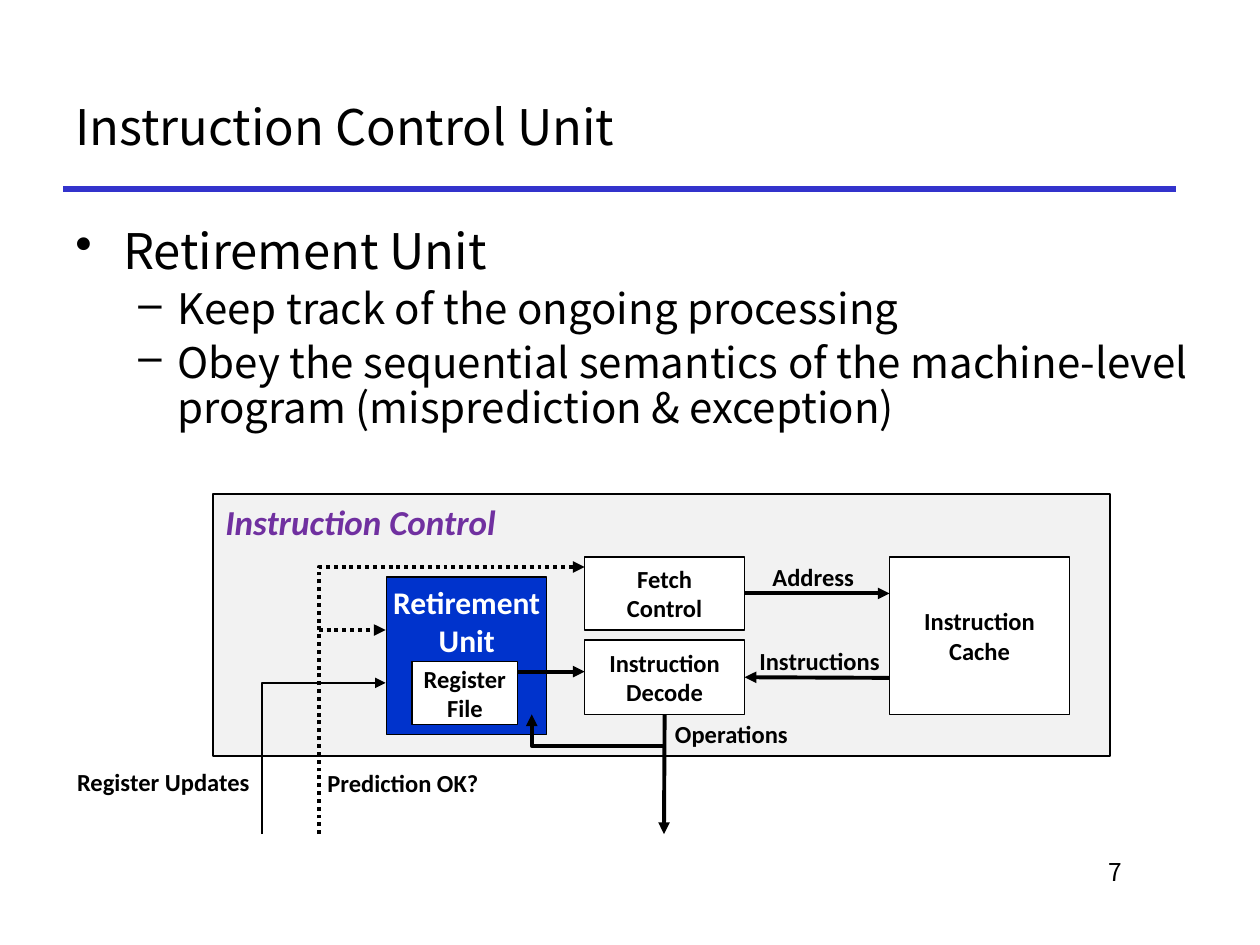
from lxml import etree
from pptx import Presentation
from pptx.dml.color import RGBColor
from pptx.enum.dml import MSO_LINE
from pptx.enum.shapes import MSO_CONNECTOR, MSO_SHAPE
from pptx.enum.text import MSO_ANCHOR, MSO_AUTO_SIZE, PP_ALIGN
from pptx.oxml.ns import qn
from pptx.util import Inches, Pt

# Content
COLORS = {"black": "000000", "white": "FFFFFF", "rule": "3333CC",
          "panel": "F2F2F2", "heading": "7030A0", "retire": "0033CC"}
SANS, LABEL = "Noto Sans CJK KR", "Calibri"
LEFT, CENTER, RIGHT = PP_ALIGN.LEFT, PP_ALIGN.CENTER, PP_ALIGN.RIGHT
TOP, MIDDLE = MSO_ANCHOR.TOP, MSO_ANCHOR.MIDDLE

TITLE = "Instruction Control Unit"
BULLETS = [  # text, level
    ("Retirement Unit", 0),
    ("Keep track of the ongoing processing", 1),
    ("Obey the sequential semantics of the machine-level program "
     "(misprediction & exception)", 1),
]
LEVELS = [  # bullet, size, left margin, hanging indent
    ("•", 28, 0.38, -0.38),
    ("–", 24, 0.81, -0.31),
]
BOXES = {  # lines, (left, top, width, height), fill, anchor
    "panel": (["Instruction Control"], (1.69, 3.92, 7.12, 2.08), "panel", TOP),
    "cache": (["Instruction", "Cache"], (7.06, 4.42, 1.43, 1.25), "white", MIDDLE),
    "fetch": (["Fetch", "Control"], (4.64, 4.42, 1.27, 0.58), "white", MIDDLE),
    "decode": (["Instruction", "Decode"], (4.64, 5.08, 1.27, 0.59), "white", MIDDLE),
    "retire": (["Retirement", "Unit"], (3.07, 4.58, 1.27, 1.25), "retire", TOP),
    "registers": (["Register", "File"], (3.27, 5.25, 0.84, 0.5), "white", MIDDLE),
}
BOX_TEXT = {  # only where it differs from the plain label
    "panel": {"size": Pt(20), "italic": True, "color": "heading"},
    "retire": {"size": Pt(18), "color": "white"},
}
ARROWS = [  # start, end, dotted, (box, site) joined at start, at end
    ((5.91, 4.71), (7.06, 4.71), False, ("fetch", 3), None),
    ((7.06, 5.38), (5.91, 5.38), False, None, ("decode", 3)),
    ((5.27, 5.67), (5.27, 6.62), False, ("decode", 2), None),
    ((2.53, 5), (3.06, 5), True, None, None),
    ((4.11, 5.33), (4.64, 5.33), False, None, None),
]
BENT_ARROWS = [  # points, the arrowhead being at the last; width, dotted
    ([(2.53, 6.62), (2.53, 4.5), (4.64, 4.5)], 2.25, True),
    ([(2.08, 6.62), (2.08, 5.42), (3.06, 5.42)], 1.5, False),
    ([(5.27, 5.92), (4.22, 5.92), (4.22, 5.67)], 2.25, False),
]
LABELS = [  # text, left, top, width, alignment
    ("Address", 6.03, 4.41, 0.85, CENTER),
    ("Instructions", 5.92, 5.08, 1.17, CENTER),
    ("Operations", 5.25, 5.66, 1.11, CENTER),
    ("Prediction OK?", 2.5, 6.05, 1.41, LEFT),
    ("Register Updates", 0.5, 6.04, 1.58, RIGHT),
]


def rgb(name):
    return RGBColor.from_string(COLORS[name])


def write(frame, lines, align=LEFT, anchor=TOP, wrap=False, color="black", **font):
    frame.word_wrap = wrap
    frame.vertical_anchor = anchor
    formats = {"name": LABEL, "size": Pt(14), "bold": True, **font}
    for index, line in enumerate(lines):
        para = frame.add_paragraph() if index else frame.paragraphs[0]
        para.alignment = align
        span = para.add_run()
        span.text = line
        for key, value in formats.items():
            setattr(span.font, key, value)
        span.font.color.rgb = rgb(color)


def add_text(page, place, lines, **formats):
    box = page.shapes.add_textbox(*map(Inches, place))
    write(box.text_frame, lines, **formats)
    return box


def style_line(shape, width, color="black", dotted=False, arrow=True):
    shape.line.color.rgb = rgb(color)
    shape.line.width = Pt(width)
    if dotted:
        shape.line.dash_style = MSO_LINE.ROUND_DOT
    if arrow:
        etree.SubElement(shape.line._get_or_add_ln(), qn("a:tailEnd"), type="triangle")


def add_line(page, start, end):
    line = page.shapes.add_connector(
        MSO_CONNECTOR.STRAIGHT, *map(Inches, start + end))
    return line


def clear_shadow(line):
    etree.SubElement(line._element.spPr, qn("a:effectLst"))


def add_bullets(page):
    box = page.shapes.add_textbox(*map(Inches, (0.5, 1.75, 9.08, 4.83)))
    frame = box.text_frame
    frame.word_wrap = True
    for index, (text, level) in enumerate(BULLETS):
        mark, size, margin, indent = LEVELS[level]
        para = frame.add_paragraph() if index else frame.paragraphs[0]
        para.level = level
        props = para._p.get_or_add_pPr()
        props.set("marL", str(Inches(margin)))
        props.set("indent", str(Inches(indent)))
        etree.SubElement(props, qn("a:buChar"), char=mark)
        para.line_spacing = 0.9
        if index:
            para.space_before = Pt(size * 0.2)
        span = para.add_run()
        span.text = text
        span.font.name, span.font.size = SANS, Pt(size)
        span.font.color.rgb = rgb("black")


def main():
    deck = Presentation()
    deck.slide_width, deck.slide_height = Inches(10), Inches(7.5)
    page = deck.slides.add_slide(deck.slide_layouts[6])

    # Heading, rule, page number and bullets
    rule = add_line(page, (0.5, 1.5), (9.33, 1.5))
    style_line(rule, 3, "rule", arrow=False)
    clear_shadow(rule)
    add_text(page, (7.58, 6.75, 1.42, 0.5), ["7"], align=RIGHT, wrap=True,
             name=SANS, bold=False)
    add_text(page, (0.5, 0.5, 8.83, 1), [TITLE], anchor=MIDDLE, wrap=True,
             name=SANS, size=Pt(28), bold=False)
    add_bullets(page)

    # Diagram boxes
    boxes = {}
    for key, (lines, place, fill, anchor) in BOXES.items():
        box = page.shapes.add_shape(MSO_SHAPE.RECTANGLE, *map(Inches, place))
        box.shadow.inherit = False
        box.fill.solid()
        box.fill.fore_color.rgb = rgb(fill)
        outer = key == "panel"
        style_line(box, 1.5 if outer else 0.75, arrow=False)
        write(box.text_frame, lines, LEFT if outer else CENTER, anchor,
              **BOX_TEXT.get(key, {}))
        boxes[key] = box

    # Straight arrows
    for start, end, dotted, source, target in ARROWS:
        arrow = add_line(page, start, end)
        if source:
            arrow.begin_connect(boxes[source[0]], source[1])
        if target:
            arrow.end_connect(boxes[target[0]], target[1])
        style_line(arrow, 2.25, dotted=dotted)
        clear_shadow(arrow)

    # Bent arrows
    for points, width, dotted in BENT_ARROWS:
        first, *rest = [tuple(map(Inches, point)) for point in points]
        builder = page.shapes.build_freeform(*first)
        builder.add_line_segments(rest, close=False)
        bend = builder.convert_to_shape()
        bend.shadow.inherit = False
        bend.fill.background()
        style_line(bend, width, dotted=dotted)

    # Signal labels
    for text, left, top, width, align in LABELS:
        label = add_text(page, (left, top, width, 0.34), [text], align=align)
        label.text_frame.auto_size = MSO_AUTO_SIZE.SHAPE_TO_FIT_TEXT

    deck.save("out.pptx")


if __name__ == "__main__":
    main()
